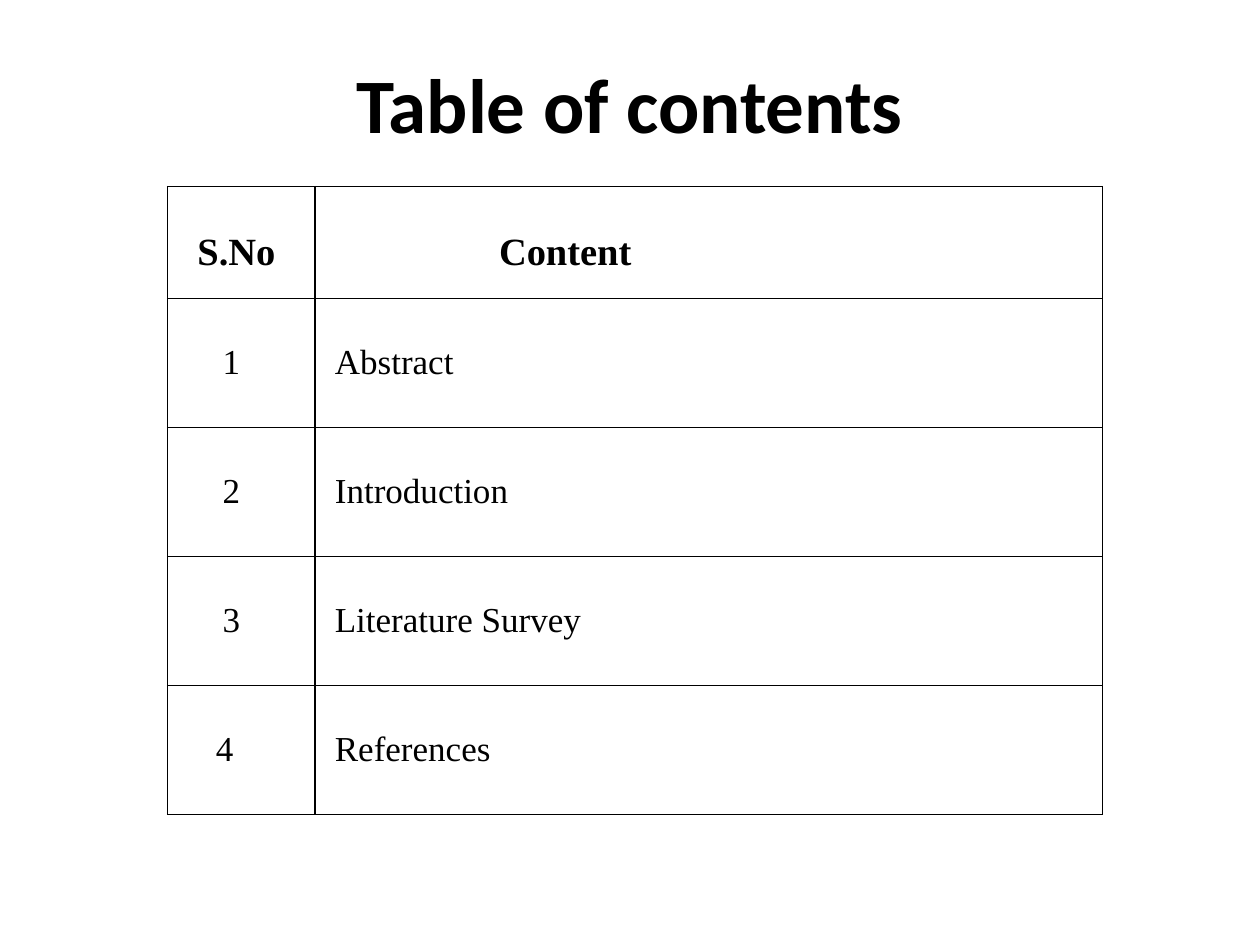
"""Build a table of contents slide."""
from lxml.etree import SubElement
from pptx import Presentation
from pptx.dml.color import RGBColor
from pptx.enum.text import MSO_ANCHOR, PP_ALIGN
from pptx.oxml.ns import qn
from pptx.util import Cm, Pt

COLORS = {"ink": "000000", "paper": "FFFFFF"}
CONTENTS = ["Abstract", "Introduction", "Literature Survey", "References"]
COLUMN_WIDTHS = [2.97, 15.88]
HEADER_HEIGHT, ROW_HEIGHT = 2.26, 2.6


def style_font(paragraph, name, size, bold):
    paragraph.font.name = name
    paragraph.font.size = Pt(size)
    paragraph.font.bold = bold
    paragraph.font.color.rgb = RGBColor.from_string(COLORS["ink"])


def fill_and_border(cell):
    properties = cell._tc.get_or_add_tcPr()
    for side in ("a:lnL", "a:lnR", "a:lnT", "a:lnB"):
        line = SubElement(properties, qn(side), w=str(Pt(1)))
        solid = SubElement(line, qn("a:solidFill"))
        SubElement(solid, qn("a:srgbClr"), val=COLORS["ink"])
    cell.fill.solid()
    cell.fill.fore_color.rgb = RGBColor.from_string(COLORS["paper"])


deck = Presentation()
deck.slide_width, deck.slide_height = Cm(25.4), Cm(19.05)
page = deck.slides.add_slide(deck.slide_layouts[5])

title = page.shapes.title
title.left, title.top, title.width, title.height = Cm(1.27), Cm(0.76), Cm(22.86), Cm(2.62)
title.text_frame.text = "Table of contents"
title.text_frame.vertical_anchor = MSO_ANCHOR.MIDDLE
heading = title.text_frame.paragraphs[0]
heading.alignment = PP_ALIGN.CENTER
style_font(heading, "Calibri", 44, True)

rows = [("S.No", "Content")] + [(str(number), name) for number, name in enumerate(CONTENTS, 1)]
indents = [(0.6, 3.71)] + [(1.11, 0.4)] * 3 + [(0.97, 0.4)]
table_height = HEADER_HEIGHT + ROW_HEIGHT * len(CONTENTS)
table = page.shapes.add_table(
    len(rows), len(COLUMN_WIDTHS), Cm(3.38), Cm(3.76), Cm(sum(COLUMN_WIDTHS)), Cm(table_height)
).table
table.first_row = table.horz_banding = False
for column, width in zip(table.columns, COLUMN_WIDTHS):
    column.width = Cm(width)

for index, (texts, margins) in enumerate(zip(rows, indents)):
    is_header = index == 0
    table.rows[index].height = Cm(HEADER_HEIGHT if is_header else ROW_HEIGHT)
    for cell, text, margin in zip(table.rows[index].cells, texts, margins):
        cell.text = text
        cell.vertical_anchor = MSO_ANCHOR.TOP
        cell.margin_left, cell.margin_top = Cm(margin), Cm(0.9)
        cell.margin_right = cell.margin_bottom = Cm(0)
        style_font(cell.text_frame.paragraphs[0], "Times New Roman", 22 if is_header else 20, is_header)
        fill_and_border(cell)

deck.save("out.pptx")
